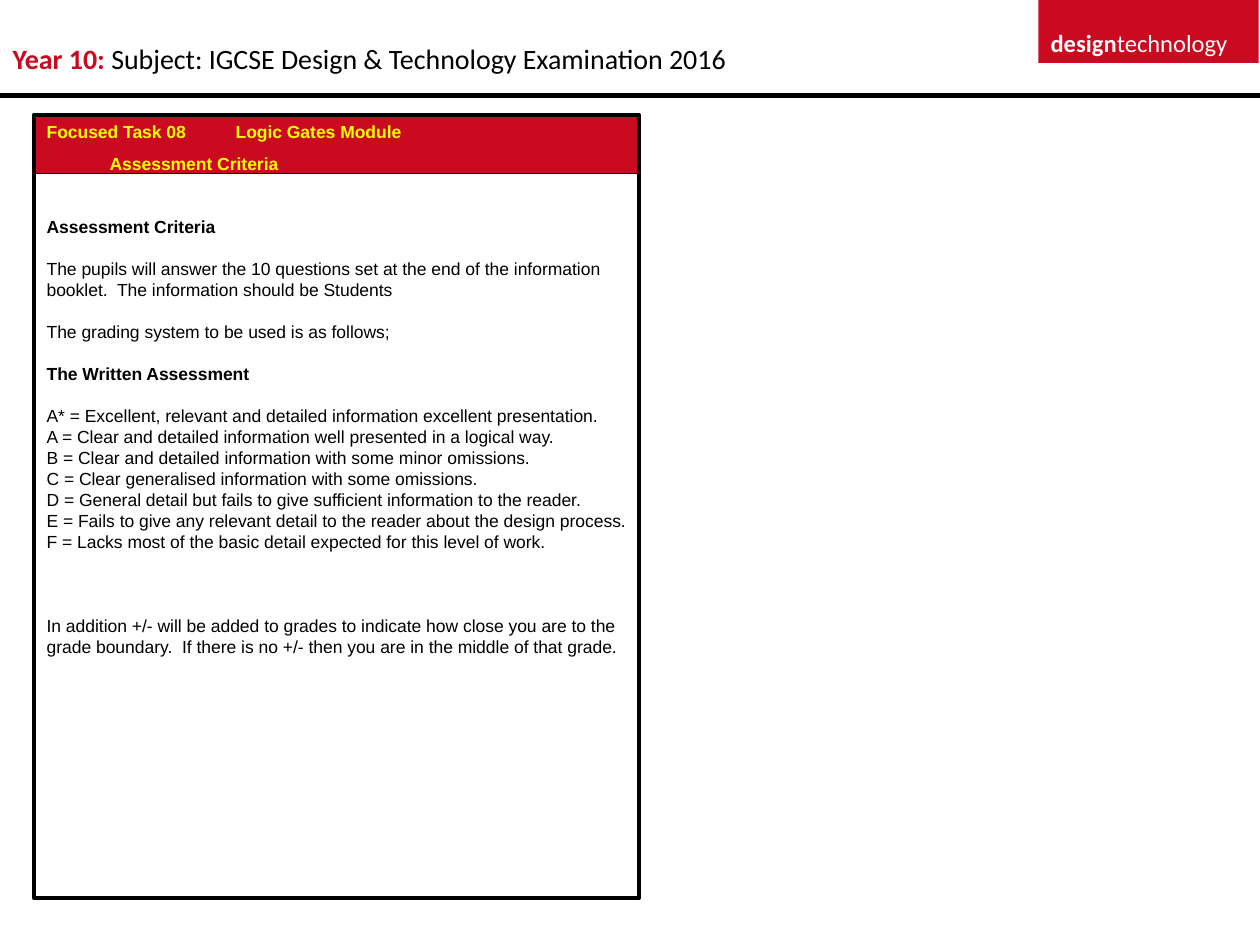
from pptx import Presentation
from pptx.dml.color import RGBColor
from pptx.enum.shapes import MSO_CONNECTOR, MSO_SHAPE
from pptx.enum.text import MSO_ANCHOR, MSO_AUTO_SIZE, PP_ALIGN
from pptx.oxml.ns import qn
from pptx.util import Inches, Pt
from lxml import etree

RECT, LINE = MSO_SHAPE.RECTANGLE, MSO_CONNECTOR.STRAIGHT
TOP, LEFT, FIXED = MSO_ANCHOR.TOP, PP_ALIGN.LEFT, MSO_AUTO_SIZE.NONE

HEX = {"red": "CA0A20", "white": "FFFFFF", "black": "000000", "yellow": "FFFF00"}
BRAND = [("design", "white", True), ("technology", "white", False)]
HEAD = [("Year 10:", "red", True),
        (" Subject: IGCSE Design & Technology Examination 2016", "black", False)]
BODY = [
    ("Focused Task 08\tLogic Gates Module", "yellow", True, 0, 2),
    ("\tAssessment Criteria", "yellow", True, 6, 1.96),
    ("Assessment Criteria", "black", True, 24, None),
    ("The pupils will answer the 10 questions set at the end of the information "
     "booklet.  The information should be Students", "black", False, 12, None),
    ("The grading system to be used is as follows;", "black", False, 12, None),
    ("The Written Assessment", "black", True, 12, None),
]
GRADES = [
    ("A*", "Excellent, relevant and detailed information excellent presentation."),
    ("A", "Clear and detailed information well presented in a logical way."),
    ("B", "Clear and detailed information with some minor omissions."),
    ("C", "Clear generalised information with some omissions."),
    ("D", "General detail but fails to give sufficient information to the reader."),
    ("E", "Fails to give any relevant detail to the reader about the design process."),
    ("F", "Lacks most of the basic detail expected for this level of work."),
]
BODY += [(f"{mark} = {text}", "black", False, 0 if row else 12, None)
         for row, (mark, text) in enumerate(GRADES)]
BODY.append(("In addition +/- will be added to grades to indicate how close you are to "
             "the grade boundary.  If there is no +/- then you are in the middle of "
             "that grade.", "black", False, 36, None))


def color(name):
    return RGBColor.from_string(HEX[name])


def place(shape, box):
    for key, val in zip(("left", "top", "width", "height"), box):
        setattr(shape, key, Inches(val))


def frame(shape, wrap=True):
    form = {"word_wrap": wrap, "auto_size": FIXED, "vertical_anchor": TOP}
    for key, val in form.items():
        setattr(shape.text_frame, key, val)
    return shape.text_frame


def write(par, runs, face, size):
    par.alignment = LEFT
    for text, tint, bold in runs:
        run = par.add_run()
        run.text = text
        for key, val in {"name": face, "size": Pt(size), "bold": bold}.items():
            setattr(run.font, key, val)
        run.font.color.rgb = color(tint)


def stroke(shape, width):
    shape.line.color.rgb = color("black")
    shape.line.width = Pt(width)


def block(box):
    shape = slide.shapes.add_shape(RECT, *map(Inches, box))
    shape.shadow.inherit = False
    shape.fill.solid()
    shape.fill.fore_color.rgb = color("red")
    return shape


def flat(par, tab):
    props = par._p.get_or_add_pPr()
    props.set("marL", "0")
    props.set("indent", "0")
    etree.SubElement(props, qn("a:buNone"))
    if tab:
        tabs = etree.SubElement(props, qn("a:tabLst"))
        etree.SubElement(tabs, qn("a:tab"), pos=str(Inches(tab)), algn="l")


deck = Presentation()
deck.slide_width, deck.slide_height = Inches(10), Inches(7.5)
slide = deck.slides.add_slide(deck.slide_layouts[1])
title, panel = slide.shapes.title, slide.placeholders[1]

block((8.24, 0, 1.75, 0.5)).line.fill.background()
brand = slide.shapes.add_textbox(*map(Inches, (8.24, 0.17, 1.76, 0.33)))
write(frame(brand, False).paragraphs[0], BRAND, "Calibri", 14)

place(title, (0, 0.28, 8.15, 0.37))
write(frame(title).paragraphs[0], HEAD, "Calibri", 16)

rule = slide.shapes.add_connector(LINE, 0, Inches(0.76), Inches(10), Inches(0.76))
stroke(rule, 3)
etree.SubElement(rule._element.spPr, qn("a:effectLst"))

stroke(block((0.27, 0.91, 4.8, 0.47)), 0.75)

place(panel, (0.27, 0.91, 4.8, 6.22))
stroke(panel, 2.25)
slide.shapes._spTree.append(panel._element)
area = frame(panel)
for row, (text, tint, bold, gap, tab) in enumerate(BODY):
    par = area.add_paragraph() if row else area.paragraphs[0]
    par.space_before = Pt(gap)
    flat(par, tab)
    write(par, [(text, tint, bold)], "Arial", 10)

deck.save("out.pptx")
